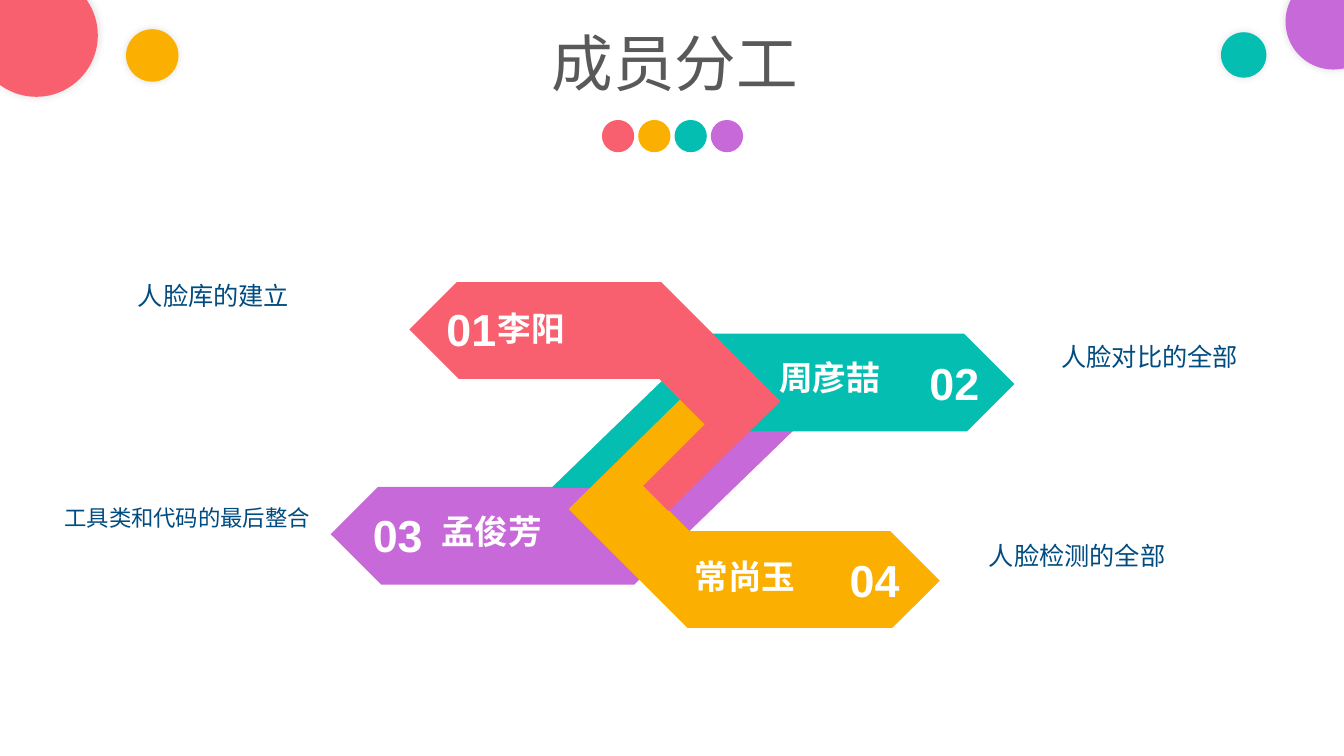
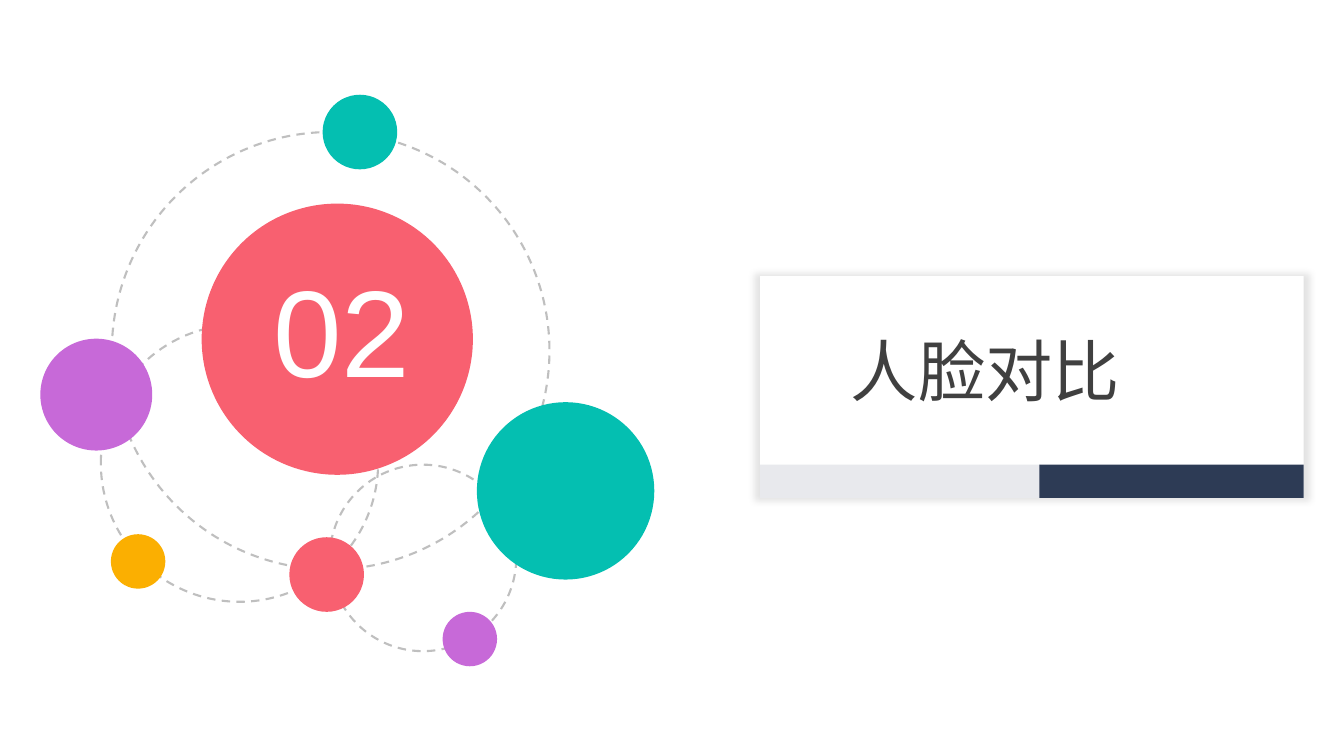
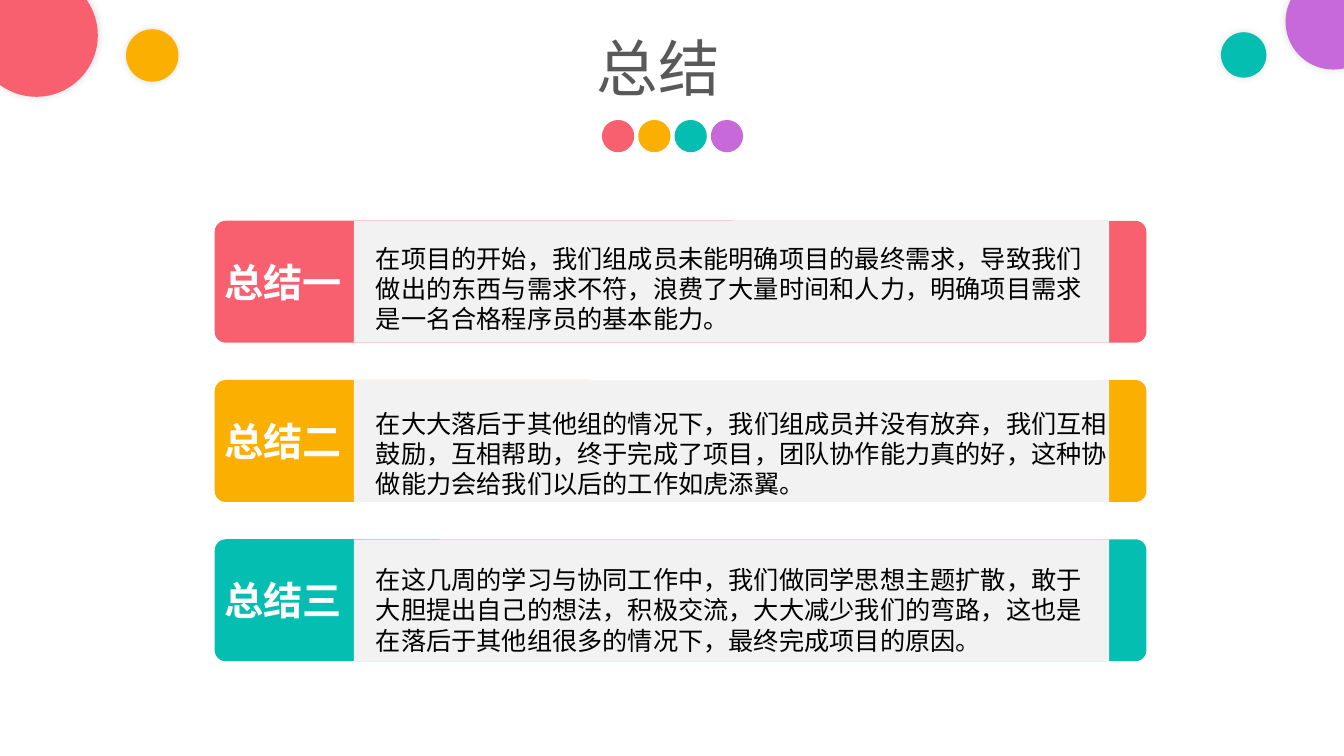
from pptx import Presentation
from pptx.dml.color import RGBColor
from pptx.enum import dml, shapes, text
from pptx.oxml import parse_xml
from pptx.oxml.ns import nsdecls, qn
from pptx.util import Inches, Pt

CORAL = RGBColor(0xF8, 0x60, 0x70)
AMBER = RGBColor(0xFB, 0xAF, 0x01)
TEAL = RGBColor(0x04, 0xBF, 0xB1)
VIOLET = RGBColor(0xC7, 0x69, 0xD8)
NAVY = RGBColor(0x2D, 0x3B, 0x55)
BLUE = RGBColor(0x00, 0x4C, 0x80)
BLACK = RGBColor(0x00, 0x00, 0x00)
DARK_GREY = RGBColor(0x40, 0x40, 0x40)
TITLE_GREY = RGBColor(0x59, 0x59, 0x59)
ORBIT_GREY = RGBColor(0xBF, 0xBF, 0xBF)
STRIP_GREY = RGBColor(0xE8, 0xE9, 0xED)
PANEL_GREY = RGBColor(0xF2, 0xF2, 0xF2)
LABEL_WHITE = RGBColor(0xFE, 0xFE, 0xFE)
WHITE = RGBColor(0xFF, 0xFF, 0xFF)

FONT = "Arial"
RECTANGLE = shapes.MSO_SHAPE.RECTANGLE
ROUNDED = shapes.MSO_SHAPE.ROUNDED_RECTANGLE
OVAL = shapes.MSO_SHAPE.OVAL

BENT_ARROW = [(1.11, 0), (1.36, 0.25), (0.75, 0.86), (1.2, 1.31), (3.19, 1.31),
              (3.68, 1.8), (3.21, 2.27), (1.18, 2.27), (0, 1.09)]
TAILED_ARROW = [(1.58, 0), (4.09, 0), (4.59, 0.5), (4.12, 0.97), (1, 0.97),
                (0.44, 1.53), (0, 1.53)]


def paint(shape, color, soft_shadow=False):
    """Fill a shape without outline, optionally with a soft halo."""
    shape.shadow.inherit = False
    shape.fill.solid()
    shape.fill.fore_color.rgb = color
    shape.line.fill.background()
    if soft_shadow:
        shape.element.spPr.find(qn("a:effectLst")).append(parse_xml(
            f'<a:outerShdw {nsdecls("a")} blurRad="63500" sx="102000" sy="102000" '
            'algn="ctr" rotWithShape="0">'
            '<a:srgbClr val="000000"><a:alpha val="11000"/></a:srgbClr></a:outerShdw>'))
    return shape


def add_block(slide, kind, left, top, width, height, color, soft_shadow=False):
    """Add a filled preset shape."""
    shape = slide.shapes.add_shape(kind, Inches(left), Inches(top), Inches(width), Inches(height))
    return paint(shape, color, soft_shadow)


def add_circle(slide, left, top, size, color, soft_shadow=False):
    """Add a filled circle."""
    return add_block(slide, OVAL, left, top, size, size, color, soft_shadow)


def write(shape, lines, size, color, bold=False, align=text.PP_ALIGN.LEFT, wrap=False):
    """Write lines as paragraphs in one style, from the top of the shape."""
    frame = shape.text_frame
    frame.text = "\n".join(lines)
    frame.word_wrap = wrap
    frame.auto_size = text.MSO_AUTO_SIZE.NONE
    frame.vertical_anchor = text.MSO_ANCHOR.TOP
    for paragraph in frame.paragraphs:
        paragraph.alignment = align
        paragraph.font.name = FONT
        paragraph.font.size = Pt(size)
        paragraph.font.bold = bold
        paragraph.font.color.rgb = color


def add_text(slide, left, top, width, height, lines, size, color, **style):
    """Add a text box."""
    box = slide.shapes.add_textbox(Inches(left), Inches(top), Inches(width), Inches(height))
    write(box, lines, size, color, **style)


def place_title(slide, left, top, width, height, words, size, color):
    """Move the title placeholder to the front and format it."""
    title = slide.shapes.title
    title.left, title.top = Inches(left), Inches(top)
    title.width, title.height = Inches(width), Inches(height)
    write(title, [words], size, color, wrap=True)
    title.element.getparent().append(title.element)


def new_slide(presentation):
    """Add a title-only slide."""
    return presentation.slides.add_slide(presentation.slide_layouts[5])


def add_content_header(slide, words, left, top, width):
    """Draw the corner circles, the title and the dots below it."""
    for index, color in enumerate([CORAL, AMBER, TEAL, VIOLET]):
        add_circle(slide, 5.97 + index * 0.36, 1.19, 0.32, color)
    for corner in [(12.75, -0.26, 0.95, VIOLET), (12.11, 0.32, 0.45, TEAL),
                   (-0.25, -0.26, 1.22, CORAL), (1.25, 0.29, 0.52, AMBER)]:
        add_circle(slide, *corner, soft_shadow=True)
    place_title(slide, left, top, width, 0.84, words, 44, TITLE_GREY)


def add_member_arrow(slide, left, top, outline, turned, color, number, number_at, name, name_at):
    """Draw a folded arrow in its box, turned half round if asked, with number and name."""
    width, height = (max(axis) for axis in zip(*outline))
    if turned:
        outline = [(width - x, height - y) for x, y in outline]
    points = [(Inches(left + x), Inches(top + y)) for x, y in outline]
    builder = slide.shapes.build_freeform(*points[0])
    builder.add_line_segments(points[1:], close=True)
    paint(builder.convert_to_shape(), color)
    add_text(slide, left + number_at[0], top + number_at[1], 0.73, 0.64, [number], 32, WHITE,
             bold=True, align=text.PP_ALIGN.CENTER, wrap=True)
    add_text(slide, left + name_at[0], top + name_at[1], 0.2 + len(name) / 3, 0.5, [name], 24,
             WHITE, bold=True)


def build_members(presentation):
    """Build the slide on who does what."""
    slide = new_slide(presentation)
    add_content_header(slide, "成员分工", 5.37, 0.2, 3.2)
    for arrow in [
        (3.28, 4.27, TAILED_ARROW, True, VIOLET, "03", (0.3, 0.72), "孟俊芳", (1, 0.75)),
        (5.47, 3.31, TAILED_ARROW, False, TEAL, "02", (3.63, 0.17), "周彦喆", (2.16, 0.18)),
        (5.64, 3.96, BENT_ARROW, False, AMBER, "04", (2.67, 1.47), "常尚玉", (1.15, 1.51)),
        (4.06, 2.8, BENT_ARROW, True, CORAL, "01", (0.25, 0.14), "李阳", (0.78, 0.21)),
    ]:
        add_member_arrow(slide, *arrow)
    for left, top, task, size in [(9.71, 5.31, "人脸检测的全部", 18), (1.27, 2.73, "人脸库的建立", 18),
                                  (0.54, 4.95, "工具类和代码的最后整合", 16),
                                  (10.43, 3.34, "人脸对比的全部", 18)]:
        add_text(slide, left, top, 0.2 + len(task) * size / 72, 0.4, [task], size, BLUE)


def add_orbits(slide, left, top, number):
    """Draw dashed orbits with planets and the section number."""
    for x, y, size in [(0.71, 0.37, 4.34), (0.6, 2.28, 2.75), (2.87, 3.67, 1.85)]:
        orbit = add_circle(slide, left + x, top + y, size, WHITE)
        orbit.fill.background()
        orbit.line.color.rgb = ORBIT_GREY
        orbit.line.width = Pt(1.5)
        orbit.line.dash_style = dml.MSO_LINE.DASH
    for x, y, size, color in [(4.33, 3.05, 1.76, TEAL), (0, 2.42, 1.11, VIOLET),
                              (2.8, 0, 0.74, TEAL), (0.7, 4.36, 0.54, AMBER),
                              (3.99, 5.13, 0.54, VIOLET), (1.6, 1.08, 2.69, CORAL),
                              (2.47, 4.39, 0.74, CORAL)]:
        add_circle(slide, left + x, top + y, size, color)
    add_text(slide, left + 2.21, top + 1.53, 1.8, 1.58, [number], 88, WHITE, wrap=True)


def add_section_card(slide, left, top, words):
    """Draw the white card with its two-part foot and the section title."""
    add_block(slide, RECTANGLE, left, top, 5.39, 2.2, WHITE, soft_shadow=True)
    add_block(slide, RECTANGLE, left, top + 1.87, 2.78, 0.33, STRIP_GREY)
    add_block(slide, RECTANGLE, left + 2.77, top + 1.87, 2.62, 0.33, NAVY)
    place_title(slide, left + 0.8, top + 0.48, 3.95, 0.91, words, 48, DARK_GREY)


def build_section(presentation):
    """Build the section divider."""
    slide = new_slide(presentation)
    add_orbits(slide, 0.4, 0.94, "02")
    add_section_card(slide, 7.54, 2.74, "人脸对比")


def add_summary_row(slide, left, top, color, label, text_drop, lines):
    """Draw one coloured bar with its label and a grey text panel."""
    bar = add_block(slide, ROUNDED, left, top, 9.24, 1.21, color)
    bar.adjustments[0] = 0.09
    add_text(slide, left, top + 0.32, 1.37, 0.57, [label], 28, LABEL_WHITE, bold=True)
    add_block(slide, RECTANGLE, left + 1.38, top, 7.49, 1.21, PANEL_GREY)
    add_text(slide, left + 1.5, top + text_drop, 0.2 + len(lines[0]) / 4, 1.01, lines, 18, BLACK)


def build_summary(presentation):
    """Build the slide of three conclusions."""
    slide = new_slide(presentation)
    add_content_header(slide, "总结", 5.82, 0.25, 2)
    rows = [
        (CORAL, "总结一", 0.17, ["在项目的开始，我们组成员未能明确项目的最终需求，导致我们",
                              "做出的东西与需求不符，浪费了大量时间和人力，明确项目需求",
                              "是一名合格程序员的基本能力。"]),
        (AMBER, "总结二", 0.23, ["在大大落后于其他组的情况下，我们组成员并没有放弃，我们互相",
                              "鼓励，互相帮助，终于完成了项目，团队协作能力真的好，这种协",
                              "做能力会给我们以后的工作如虎添翼。"]),
        (TEAL, "总结三", 0.2, ["在这几周的学习与协同工作中，我们做同学思想主题扩散，敢于",
                            "大胆提出自己的想法，积极交流，大大减少我们的弯路，这也是",
                            "在落后于其他组很多的情况下，最终完成项目的原因。"]),
    ]
    for index, row in enumerate(rows):
        add_summary_row(slide, 2.13, 2.19 + index * 1.58, *row)


def main():
    """Build and save the presentation."""
    presentation = Presentation()
    presentation.slide_width = Inches(13.33)
    presentation.slide_height = Inches(7.5)
    build_members(presentation)
    build_section(presentation)
    build_summary(presentation)
    presentation.save("out.pptx")


if __name__ == "__main__":
    main()
